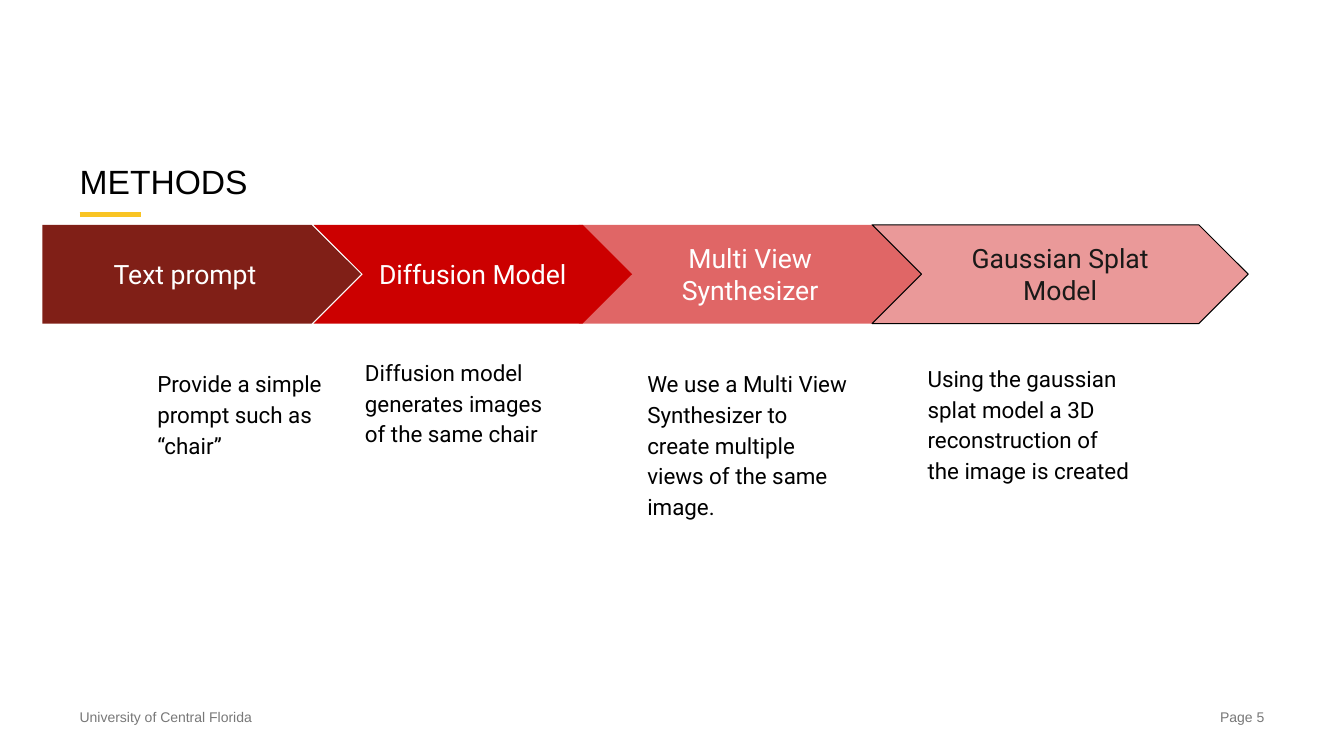
from lxml.etree import SubElement
from pptx import Presentation
from pptx.dml.color import RGBColor
from pptx.enum.shapes import MSO_CONNECTOR, MSO_SHAPE
from pptx.enum.text import MSO_ANCHOR, MSO_AUTO_SIZE, PP_ALIGN
from pptx.oxml.ns import qn
from pptx.util import Inches, Pt


def color(hex_code):
    return RGBColor.from_string(hex_code)


class MethodsSlide:
    """Holds the style and the current slide, and draws each kind of element."""

    BODY_FONT, HEADING_FONT = "Roboto", "Arial"
    BLACK, WHITE, GREY, GOLD = "000000", "FFFFFF", "787878", "F9C423"
    INSET = 0.13
    ARROW_TOP, ARROW_HEIGHT = 2.23, 0.98

    def __init__(self, presentation):
        self.slide = presentation.slides.add_slide(presentation.slide_layouts[5])

    def set_text(self, holder, text, font, size, hex_code, align=PP_ALIGN.LEFT,
                 anchor=MSO_ANCHOR.TOP, inset=0, spacing=1.0):
        frame = holder.text_frame
        frame.word_wrap = True
        frame.auto_size = MSO_AUTO_SIZE.NONE
        frame.vertical_anchor = anchor
        frame.margin_left = frame.margin_right = Inches(inset)
        frame.margin_top = frame.margin_bottom = Inches(inset)
        paragraph = frame.paragraphs[0]
        paragraph.alignment = align
        paragraph.line_spacing = spacing
        run = paragraph.add_run()
        run.text = text
        run.font.name = font
        run.font.size = Pt(size)
        run.font.color.rgb = color(hex_code)

    def title(self, text):
        heading = self.slide.shapes.title
        heading.left, heading.top = Inches(0.79), Inches(0.79)
        heading.width, heading.height = Inches(11.75), Inches(1.21)
        self.set_text(heading, text, self.HEADING_FONT, 24, self.BLACK,
                      anchor=MSO_ANCHOR.BOTTOM)

    def underline(self, start, end, top):
        accent = self.slide.shapes.add_connector(
            MSO_CONNECTOR.STRAIGHT, Inches(start), Inches(top), Inches(end), Inches(top))
        accent.line.color.rgb = color(self.GOLD)
        accent.line.width = Pt(4)
        SubElement(accent._element.spPr, qn("a:effectLst"))

    def footer(self, text, left, align):
        note = self.slide.shapes.add_textbox(
            Inches(left), Inches(7.03), Inches(2.24), Inches(0.17))
        self.set_text(note, text, self.HEADING_FONT, 10, self.GREY, align)

    def arrow(self, preset, label, left, width, fill, text_color, outline):
        step = self.slide.shapes.add_shape(
            preset, Inches(left), Inches(self.ARROW_TOP),
            Inches(width), Inches(self.ARROW_HEIGHT))
        step.shadow.inherit = False
        step.adjustments[0] = 0.5
        step.fill.solid()
        step.fill.fore_color.rgb = color(fill)
        if outline:
            step.line.color.rgb = color(outline)
            step.line.width = Pt(0.75)
        else:
            step.line.fill.background()
        self.set_text(step, label, self.BODY_FONT, 19, text_color, PP_ALIGN.CENTER,
                      MSO_ANCHOR.MIDDLE, self.INSET)

    def description(self, text, left, top, width):
        detail = self.slide.shapes.add_textbox(
            Inches(left), Inches(top), Inches(width), Inches(3.81))
        self.set_text(detail, text, self.BODY_FONT, 16, self.BLACK,
                      inset=self.INSET, spacing=1.15)


def main():
    presentation = Presentation()
    presentation.slide_width, presentation.slide_height = Inches(13.33), Inches(7.5)
    methods = MethodsSlide(presentation)
    white, black = methods.WHITE, methods.BLACK

    methods.footer("University of Central Florida", 0.79, PP_ALIGN.LEFT)
    methods.footer("Page 5", 10.3, PP_ALIGN.RIGHT)
    methods.underline(0.79, 1.4, 2.13)
    methods.title("METHODS")

    chevron, pentagon = MSO_SHAPE.CHEVRON, MSO_SHAPE.PENTAGON
    steps = [
        ((chevron, "Multi View Synthesizer", 5.74, 3.4, "E06666", white, None),
         ("We use a Multi View Synthesizer to create multiple views of the same image.",
          6.29, 3.5, 2.3)),
        ((pentagon, "Text prompt\t", 0.42, 3.16, "801F17", white, None),
         ("Provide a simple prompt such as “chair”", 1.43, 3.5, 1.99)),
        ((chevron, "Diffusion Model", 3.11, 3.16, "CC0000", white, None),
         ("Diffusion model generates images of the same chair", 3.49, 3.39, 2.14)),
        ((chevron, "Gaussian Splat Model", 8.65, 3.73, "EA9999", "1A1918", black),
         ("Using the gaussian splat model a 3D reconstruction of the image is created",
          9.07, 3.45, 2.3)),
    ]
    for step, detail in steps:
        methods.arrow(*step)
        methods.description(*detail)

    presentation.save("out.pptx")


if __name__ == "__main__":
    main()
